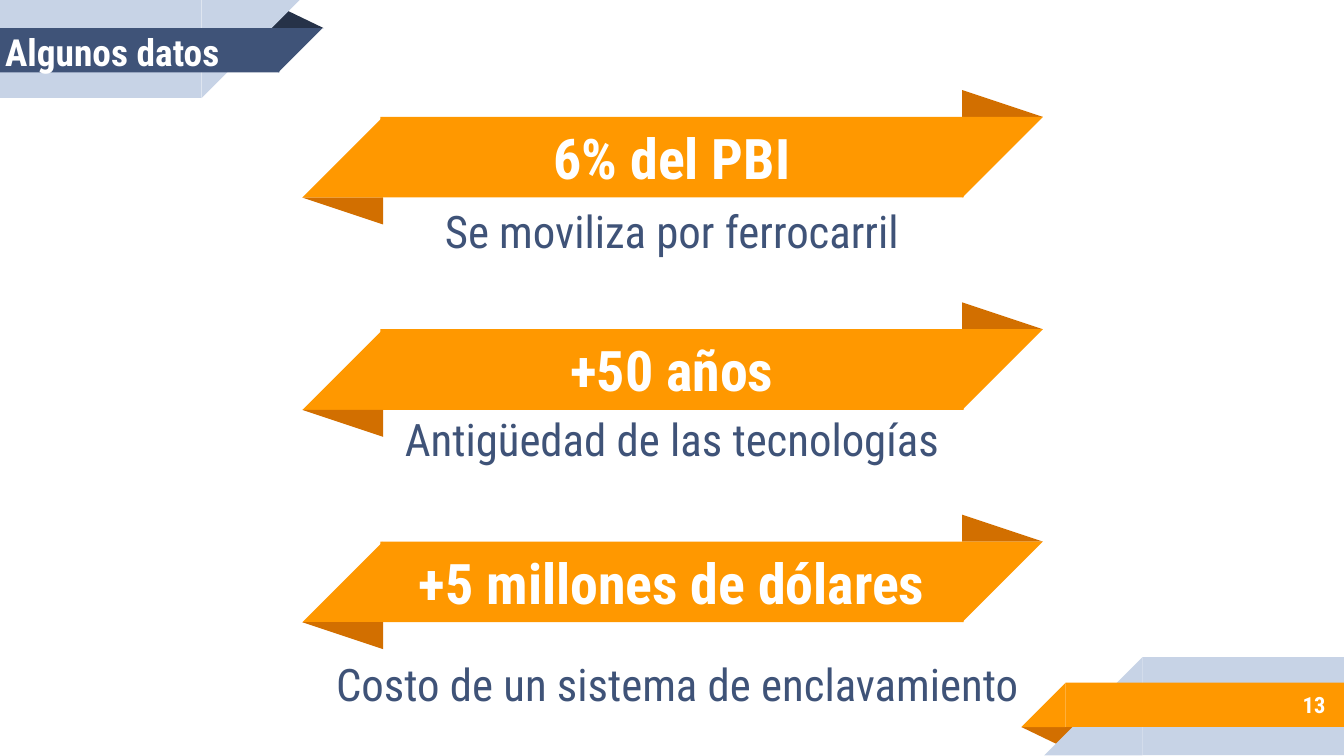
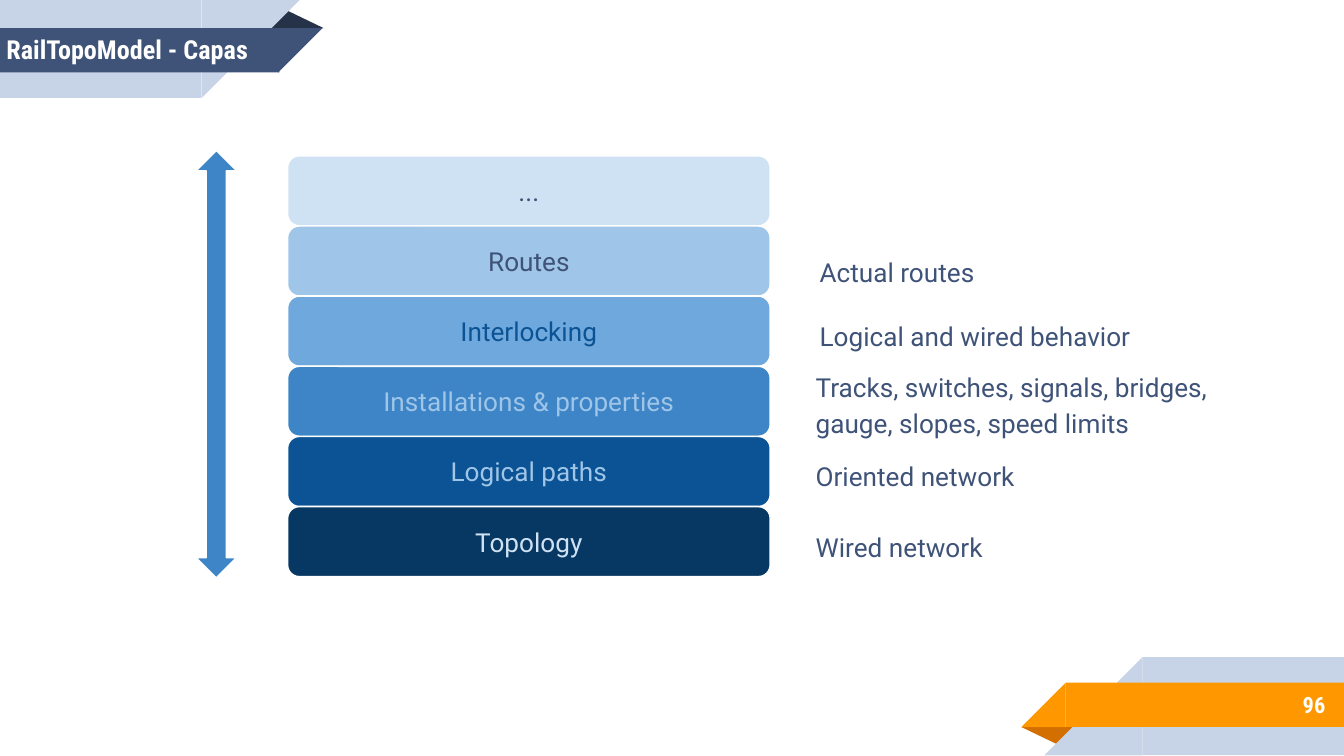
from pptx import Presentation
from pptx.dml.color import RGBColor
from pptx.enum.shapes import MSO_SHAPE
from pptx.enum.text import MSO_ANCHOR, PP_ALIGN
from pptx.util import Inches, Pt

RECTANGLE = MSO_SHAPE.RECTANGLE
ROUNDED = MSO_SHAPE.ROUNDED_RECTANGLE
TRIANGLE = MSO_SHAPE.ISOSCELES_TRIANGLE
CORNER = MSO_SHAPE.RIGHT_TRIANGLE
DOUBLE_ARROW = MSO_SHAPE.UP_DOWN_ARROW
TOP, MIDDLE = MSO_ANCHOR.TOP, MSO_ANCHOR.MIDDLE
LEFT, CENTER, RIGHT = PP_ALIGN.LEFT, PP_ALIGN.CENTER, PP_ALIGN.RIGHT

NAVY, DARK_NAVY, PALE, WHITE = "3F5378", "263248", "C7D3E6", "FFFFFF"
ORANGE, DARK_ORANGE, BLUE = "FF9800", "D26F00", "3D85C6"
HEADING_FONT, BODY_FONT = "Roboto Condensed", "Roboto"
UPPER_LEFT, LOWER_RIGHT = 90, 270

FACTS = [
    ("6% del PBI", "Se moviliza por ferrocarril", (2.86, 1.46, 4.28, 0.51)),
    ("+50 años", "Antigüedad de las tecnologías", (2.86, 3.04, 4.28, 0.45)),
    ("+5 millones de dólares", "Costo de un sistema de enclavamiento", (2.37, 4.86, 5.34, 0.45)),
]
LAYERS = [
    ("...", "CFE2F3", NAVY),
    ("Routes", "9FC5E8", NAVY),
    ("Interlocking", "6FA8DC", "0B5394"),
    ("Installations & properties", BLUE, "9FC5E8"),
    ("Logical paths", "0B5394", "9FC5E8"),
    ("Topology", "073763", "CFE2F3"),
]
LAYER_NOTES = [
    ("Actual routes", (6, 1.77, 1.76, 0.44)),
    ("Logical and wired behavior", (6, 2.25, 2.69, 0.44)),
    ("Tracks, switches, signals, bridges, gauge, slopes, speed limits", (5.97, 2.63, 3.59, 0.71)),
    ("Oriented network", (5.97, 3.29, 1.81, 0.44)),
    ("Wired network", (5.97, 3.82, 1.63, 0.44)),
]


def color(value):
    return RGBColor.from_string(value)


class RibbonDeck:
    """Holds the ribbon style and the current slide of the deck."""

    def __init__(self):
        self.deck = Presentation()
        self.deck.slide_width, self.deck.slide_height = Inches(10), Inches(5.625)
        self.page = None

    def add_page(self, title, title_place, title_size, number):
        self.page = self.deck.slides.add_slide(self.deck.slide_layouts[6])
        self.footer_band()
        self.title_band()
        self.text((8.33, 5.07, 1.63, 0.35), str(number), 12, WHITE, bold=True, align=RIGHT)
        self.text(title_place, title, title_size, WHITE, bold=True, align=LEFT)

    def shape(self, kind, place, fill, rotation=0, adjust=None, outline=None):
        shape = self.page.shapes.add_shape(kind, *map(Inches, place))
        shape.shadow.inherit = False
        shape.rotation = rotation
        shape.fill.solid()
        shape.fill.fore_color.rgb = color(fill)
        if adjust is not None:
            shape.adjustments[0] = adjust
        if outline:
            shape.line.color.rgb = color(outline)
            shape.line.width = Pt(0.75)
        else:
            shape.line.fill.background()
        return shape

    def corner(self, left, top, side, fill, rotation):
        self.shape(CORNER, (left, top, side, side), fill, rotation)

    def set_text(self, box, words, size, ink, font=HEADING_FONT, bold=False,
                 align=CENTER, anchor=MIDDLE, spacing=None):
        frame = box.text_frame
        frame.word_wrap = True
        frame.vertical_anchor = anchor
        frame.margin_left = frame.margin_right = Inches(0.1)
        frame.margin_top = frame.margin_bottom = Inches(0.1)
        para = frame.paragraphs[0]
        para.text = words
        para.alignment = align
        para.line_spacing = spacing
        para.font.name = font
        para.font.size = Pt(size)
        para.font.bold = bold
        para.font.color.rgb = color(ink)

    def text(self, place, words, size, ink, **style):
        box = self.page.shapes.add_textbox(*map(Inches, place))
        self.set_text(box, words, size, ink, **style)

    def footer_band(self):
        self.shape(TRIANGLE, (7.6, 5.41, 0.43, 0.14), DARK_ORANGE, 180, 0.324)
        self.shape(RECTANGLE, (8.5, 4.89, 1.5, 0.73), PALE)
        self.corner(7.77, 4.89, 0.73, PALE, LOWER_RIGHT)
        self.shape(RECTANGLE, (7.93, 5.08, 2.07, 0.33), ORANGE)
        self.corner(7.6, 5.08, 0.33, ORANGE, LOWER_RIGHT)

    def title_band(self):
        self.shape(TRIANGLE, (1.98, 0.07, 0.43, 0.14), DARK_NAVY, adjust=0.324)
        self.shape(RECTANGLE, (0, 0, 1.5, 0.73), PALE)
        self.corner(1.5, 0, 0.73, PALE, UPPER_LEFT)
        self.shape(RECTANGLE, (0, 0.21, 2.08, 0.33), NAVY)
        self.corner(2.07, 0.21, 0.33, NAVY, UPPER_LEFT)

    def ribbon(self, top, words):
        self.shape(TRIANGLE, (7.16, top - 0.2, 0.6, 0.2), DARK_ORANGE, adjust=0)
        self.shape(RECTANGLE, (2.83, top, 4.34, 0.6), ORANGE)
        self.corner(7.16, top, 0.6, ORANGE, UPPER_LEFT)
        self.corner(2.25, top, 0.6, ORANGE, LOWER_RIGHT)
        self.shape(TRIANGLE, (2.25, top + 0.6, 0.6, 0.2), DARK_ORANGE, 180, 0)
        self.text((2.86, top + 0.01, 4.28, 0.58), words, 30, WHITE, bold=True)

    def layer(self, top, words, fill, ink):
        box = self.shape(ROUNDED, (2.14, top, 3.59, 0.52), fill, adjust=0.167, outline=WHITE)
        self.set_text(box, words, 14, ink, font=BODY_FONT)


def main():
    show = RibbonDeck()

    show.add_page("Algunos datos", (-0.06, 0, 2.42, 0.77), 20, 13)
    for index, (figure, meaning, place) in enumerate(FACTS):
        show.ribbon(0.87 + 1.58 * index, figure)
        show.text(place, meaning, 24, NAVY)

    show.add_page("RailTopoModel - Capas", (-0.05, 0.14, 2.73, 0.45), 14, 96)
    for index, (name, fill, ink) in enumerate(LAYERS):
        show.layer(1.16 + 2.61 / 5 * index, name, fill, ink)
    show.shape(DOUBLE_ARROW, (1.46, 1.12, 0.3, 3.18), BLUE, adjust=0.5, outline=WHITE)
    for note, place in LAYER_NOTES:
        show.text(place, note, 14, NAVY, font=BODY_FONT, align=LEFT, anchor=TOP, spacing=1.15)

    show.deck.save("out.pptx")


if __name__ == "__main__":
    main()
